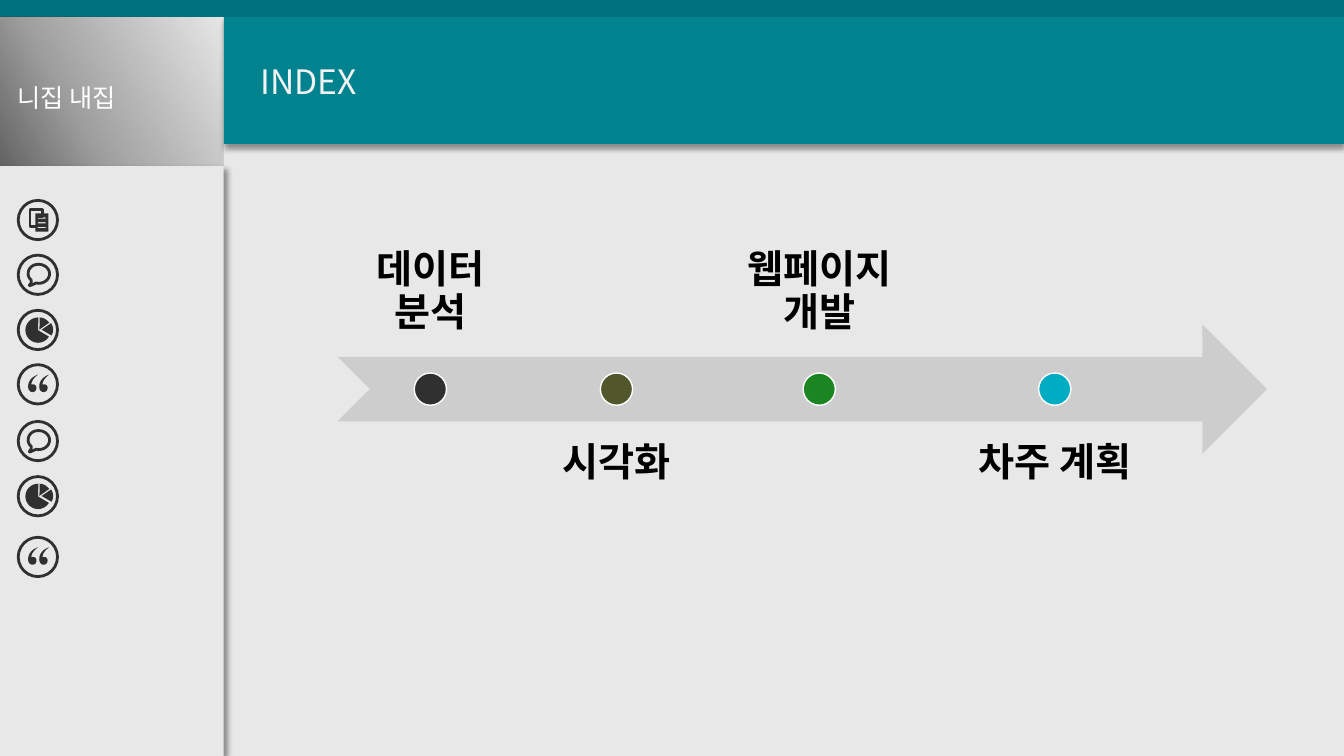
from lxml import etree
from pptx import Presentation
from pptx.dml.color import RGBColor
from pptx.enum.shapes import MSO_SHAPE
from pptx.enum.text import MSO_ANCHOR, PP_ALIGN
from pptx.oxml import parse_xml
from pptx.oxml.ns import qn
from pptx.util import Cm, Pt

RECT, OVAL, PIE = MSO_SHAPE.RECTANGLE, MSO_SHAPE.OVAL, MSO_SHAPE.PIE
ARROW = MSO_SHAPE.NOTCHED_RIGHT_ARROW
TOP, MIDDLE, BOTTOM = MSO_ANCHOR.TOP, MSO_ANCHOR.MIDDLE, MSO_ANCHOR.BOTTOM
LEFT, CENTER = PP_ALIGN.LEFT, PP_ALIGN.CENTER
FONT = "Noto Sans CJK KR"
DRAWING = "http://schemas.openxmlformats.org/drawingml/2006/main"
COLORS = {
    "paper": "E8E8E8", "teal": "00838F", "strip": "00727E", "shade": "404040",
    "ink": "303030", "white": "FFFFFF", "title": "F2F2F2", "black": "000000",
    "arrow": "CDCDCD", "olive": "52562B", "green": "1B8621", "cyan": "00ACC1",
}
STEPS = [  # label, label width in cm, dot colour
    ("데이터 분석", 4.67, "ink"),
    ("시각화", 4.29, "olive"),
    ("웹페이지 개발", 5.51, "green"),
    ("차주 계획", 5.94, "cyan"),
]
ICON_SIZE = 0.99

# Icon outlines in cm from the icon's corner: a start point, then cubic curves
BUBBLE = [(0.51, 0.23),
          (0.66, 0.23, 0.79, 0.33, 0.79, 0.47), (0.79, 0.61, 0.66, 0.71, 0.51, 0.71),
          (0.48, 0.71, 0.45, 0.69, 0.43, 0.71), (0.41, 0.72, 0.27, 0.79, 0.28, 0.76),
          (0.33, 0.71, 0.33, 0.66, 0.33, 0.63), (0.28, 0.59, 0.25, 0.53, 0.25, 0.47),
          (0.25, 0.33, 0.36, 0.23, 0.51, 0.23)]
QUOTE = [(0.25, 0),
         (0.17, 0.06, 0.09, 0.14, 0.08, 0.25), (0.17, 0.23, 0.21, 0.28, 0.21, 0.33),
         (0.21, 0.4, 0.17, 0.44, 0.11, 0.44), (0.04, 0.44, 0, 0.38, 0, 0.3),
         (0, 0.16, 0.1, 0.05, 0.25, 0)]
BACK_SHEET = [(0.3, 0.23), (0.61, 0.23), (0.61, 0.41), (0.48, 0.41), (0.48, 0.66), (0.3, 0.66)]
SLICES = [  # left, top, size, adjustments
    (0.18, 0.18, 0.64, (18.6, 162.88)),
    (0.3, 0.2, 0.58, (195.14, 17.94)),
    (0.23, 0.18, 0.61, (162.78, 195.05)),
]


def paint(shape, fill=None, line=None, width=1):
    shape.shadow.inherit = False
    if fill:
        shape.fill.solid()
        shape.fill.fore_color.rgb = RGBColor.from_string(COLORS[fill])
    else:
        shape.fill.background()
    if line:
        shape.line.color.rgb = RGBColor.from_string(COLORS[line])
        shape.line.width = Pt(width)
    else:
        shape.line.fill.background()
    return shape


def add_part(page, kind, left, top, width, height, *style):
    shape = page.shapes.add_shape(kind, Cm(left), Cm(top), Cm(width), Cm(height))
    return paint(shape, *style)


def add_outline(page, left, top, contours, *style):
    placed = [[(Cm(left + x), Cm(top + y)) for x, y in points] for points in contours]
    builder = page.shapes.build_freeform(*placed[0][0], scale=1.0)
    builder.add_line_segments(placed[0][1:], close=True)
    for points in placed[1:]:
        builder.move_to(*points[0])
        builder.add_line_segments(points[1:], close=True)
    return paint(builder.convert_to_shape(), *style)


def trace_curves(curves, pieces=8):
    points = [curves[0]]
    for x1, y1, x2, y2, x3, y3 in curves[1:]:
        x0, y0 = points[-1]
        for step in range(1, pieces + 1):
            t = step / pieces
            a, b, c, d = (1 - t) ** 3, 3 * t * (1 - t) ** 2, 3 * t * t * (1 - t), t ** 3
            points.append((a * x0 + b * x1 + c * x2 + d * x3, a * y0 + b * y1 + c * y2 + d * y3))
    return points


def rectangle(left, top, width, height):
    right, bottom = left + width, top + height
    return [(left, top), (right, top), (right, bottom), (left, bottom)]


def add_shadow(shape, degrees):
    effects = shape._element.spPr.find(qn("a:effectLst"))
    effects.append(parse_xml(
        f'<a:outerShdw xmlns:a="{DRAWING}" blurRad="{Pt(4)}" dist="{Pt(3)}" '
        f'dir="{degrees * 60000}" algn="t" rotWithShape="0"><a:srgbClr val="{COLORS["black"]}">'
        '<a:alpha val="40000"/></a:srgbClr></a:outerShdw>'))


def add_text(page, left, top, width, height, text, size, color, anchor=TOP,
             align=LEFT, wrap=False, bold=False, inset=None):
    box = page.shapes.add_textbox(Cm(left), Cm(top), Cm(width), Cm(height))
    frame = box.text_frame
    frame.word_wrap = wrap
    frame.vertical_anchor = anchor
    if inset is not None:
        frame.margin_left = frame.margin_right = Cm(inset)
        frame.margin_top = frame.margin_bottom = Cm(inset)
    para = frame.paragraphs[0]
    para.text = text
    para.alignment = align
    font = para.font
    font.size, font.bold, font.name = Pt(size), bold, FONT
    font.color.rgb = RGBColor.from_string(COLORS[color])
    latin = font._element.find(qn("a:latin"))
    latin.addnext(latin.makeelement(qn("a:ea"), {"typeface": FONT}))
    return para


def draw_header(page, left, top, width, height):
    banner = add_part(page, RECT, left, top, width, height, "teal")
    add_shadow(banner, 90)
    add_part(page, RECT, 0, 0, left + width, top, "strip")
    add_text(page, left + 0.68, top + 0.99, 3.23, 1.27, "INDEX", 24, "title", MIDDLE)


def draw_badge(page, left, top, width, height):
    badge = add_part(page, RECT, left, top, width, height)
    badge.fill.gradient()
    badge.fill.gradient_angle = 210
    stops = badge._element.spPr.find(qn("a:gradFill")).find(qn("a:gsLst"))
    for stop in list(stops):
        stops.remove(stop)
    for position, opacity in ((0, 0), (66, 44), (100, 79)):
        stop = etree.SubElement(stops, qn("a:gs"), pos=str(position * 1000))
        color = etree.SubElement(stop, qn("a:srgbClr"), val=COLORS["shade"])
        etree.SubElement(color, qn("a:alpha"), val=str(opacity * 1000))
    add_text(page, left + 0.18, top + 1.52, 3.23, 1.02, "니집 내집", 18, "white")


def draw_pages(page, left, top):
    add_outline(page, left, top, [BACK_SHEET], None, "ink", 1.75)
    text_lines = [rectangle(0.49, 0.43 + row * 0.12, 0.2, 0.03) for row in range(3)]
    add_outline(page, left, top, [rectangle(0.43, 0.33, 0.33, 0.46)] + text_lines, "ink")


def draw_bubble(page, left, top):
    add_outline(page, left, top, [trace_curves(BUBBLE)], None, "ink", 2)


def draw_pie(page, left, top):
    for x, y, size, angles in SLICES:
        piece = add_part(page, PIE, left + x, top + y, size, size, "ink")
        piece.adjustments[0], piece.adjustments[1] = angles


def draw_quotes(page, left, top):
    mark = trace_curves(QUOTE)
    marks = [[(x + shift, y + 0.25) for x, y in mark] for shift in (0.25, 0.53)]
    add_outline(page, left, top, marks, "ink")


def draw_sidebar(page, left, top, width, height):
    panel = add_part(page, RECT, left, top, width, height, "paper")
    add_shadow(panel, 45)
    icons = [(draw_pages, 0.86), (draw_bubble, 2.24), (draw_pie, 3.63), (draw_quotes, 5),
             (draw_bubble, 6.43), (draw_pie, 7.82), (draw_quotes, 9.35)]
    for draw_icon, offset in icons:
        add_part(page, OVAL, left + 0.46, top + offset, ICON_SIZE, ICON_SIZE, None, "ink", 2)
        draw_icon(page, left + 0.46, top + offset)


def draw_timeline(page, left, top, width, height):
    add_part(page, ARROW, left, top, width, height, "arrow")
    dot, label_left = height / 4, left
    for index, (label, label_width, color) in enumerate(STEPS):
        above = index % 2 == 0
        label_top = top + height * (-0.75 if above else 0.75)
        para = add_text(page, label_left, label_top, label_width, height, label, 28, "black",
                        BOTTOM if above else TOP, CENTER, True, True, 0.56)
        para.line_spacing = 0.9
        dot_left = label_left + (label_width - dot) / 2
        add_part(page, OVAL, dot_left, top + (height - dot) / 2, dot, dot, color, "white", 1)
        label_left += label_width + 0.21


def main():
    deck = Presentation()
    deck.slide_width, deck.slide_height = Cm(33.87), Cm(19.05)
    page = deck.slides.add_slide(deck.slide_layouts[6])
    page.background.fill.solid()
    page.background.fill.fore_color.rgb = RGBColor.from_string(COLORS["paper"])
    draw_header(page, 5.64, 0.43, 28.23, 3.2)
    draw_badge(page, 0, 0.43, 5.64, 3.76)
    draw_sidebar(page, 0, 4.19, 5.64, 14.86)
    draw_timeline(page, 8.51, 8.18, 23.42, 3.25)
    deck.save("out.pptx")


if __name__ == "__main__":
    main()
